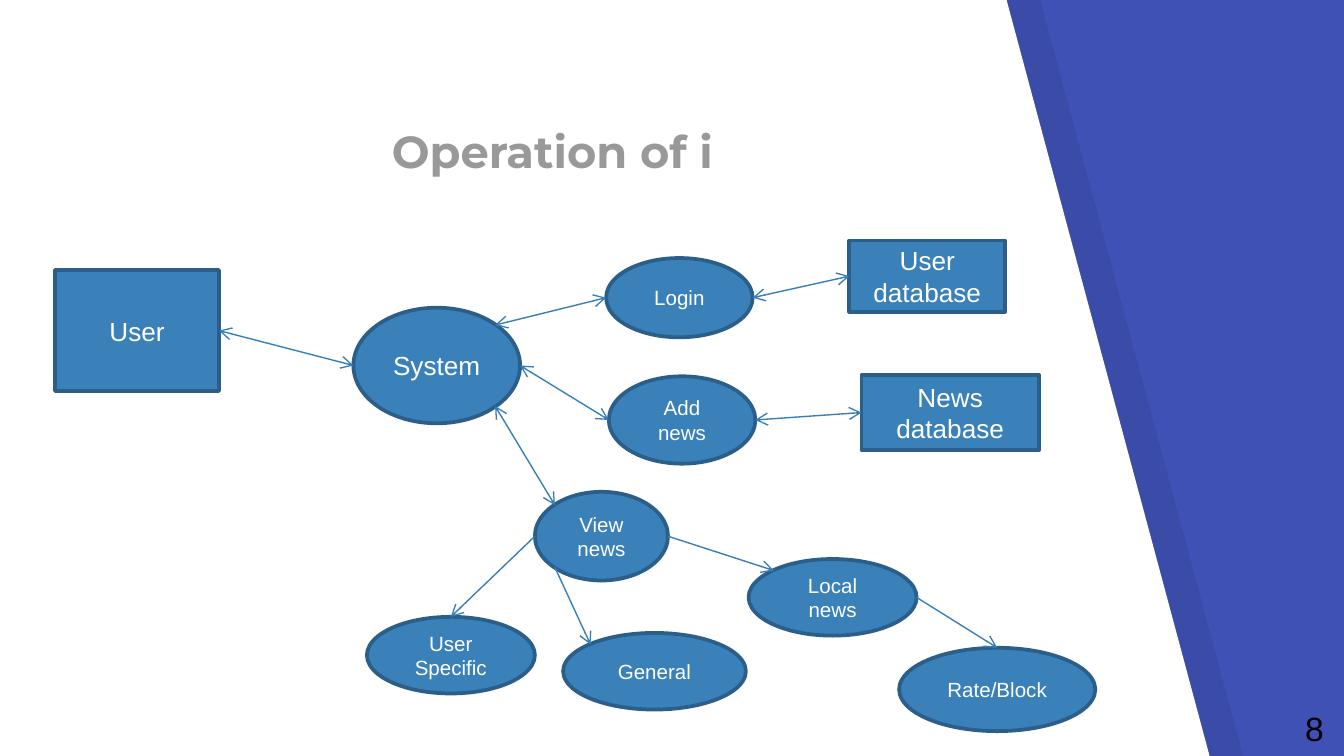
from lxml import etree
from pptx import Presentation
from pptx import util as u
from pptx.dml.color import RGBColor
from pptx.enum import shapes, text
from pptx.oxml.ns import qn

INDIGO = RGBColor(0x3F, 0x51, 0xB5)
BLACK = RGBColor(0, 0, 0)
WHITE = RGBColor(0xFF, 0xFF, 0xFF)
GREY = RGBColor(0x99, 0x99, 0x99)
NODE_FILL = RGBColor(0x3A, 0x81, 0xBA)
NODE_LINE = RGBColor(0x2B, 0x5F, 0x8A)
ARROW_LINE = RGBColor(0x36, 0x7E, 0xB9)

SLIDE_WIDTH = 10
SLIDE_HEIGHT = SLIDE_WIDTH * 9 / 16
RECT = shapes.MSO_SHAPE.RECTANGLE
OVAL = shapes.MSO_SHAPE.OVAL

# Text, shape, font size and box relative to the diagram's top left corner
NODES = {
    "user": ("User", RECT, 14, (0, 0.22, 1.22, 0.9)),
    "system": ("System", OVAL, 14, (2.22, 0.5, 1.24, 0.86)),
    "login": ("Login", OVAL, 11, (4.1, 0.13, 1.09, 0.59)),
    "add": ("Add news", OVAL, 11, (4.12, 1.01, 1.09, 0.65)),
    "view": ("View news", OVAL, 11, (3.57, 1.87, 0.99, 0.66)),
    "user_db": ("User database", RECT, 14, (5.91, 0, 1.16, 0.53)),
    "news_db": ("News database", RECT, 14, (6, 1, 1.32, 0.56)),
    "specific": ("User Specific", OVAL, 11, (2.32, 2.8, 1.25, 0.57)),
    "local": ("Local news", OVAL, 11, (5.16, 2.37, 1.25, 0.57)),
    "general": ("General", OVAL, 11, (3.78, 2.92, 1.36, 0.57)),
    "rate": ("Rate/Block", OVAL, 11, (6.28, 3.03, 1.46, 0.62)),
}

# Connection sites as fractions of a node's box; corners lie on the ellipse
SITES = {
    "left": (0, 0.5), "right": (1, 0.5), "top": (0.5, 0),
    "top left": (0.15, 0.15), "top right": (0.85, 0.15),
    "bottom left": (0.15, 0.85), "bottom right": (0.85, 0.85),
}

# Start node and site, end node and site, whether both ends have heads
LINKS = [
    ("view", "left", "specific", "top", False),
    ("view", "bottom left", "general", "top left", False),
    ("view", "right", "local", "top left", False),
    ("local", "right", "rate", "top", False),
    ("login", "right", "user_db", "left", True),
    ("add", "right", "news_db", "left", True),
    ("user", "right", "system", "left", True),
    ("system", "bottom right", "view", "top left", True),
    ("system", "top right", "login", "left", True),
    ("system", "right", "add", "left", True),
]


def set_attributes(target, values):
    for name, value in values.items():
        setattr(target, name, value)


def write_text(shape, content, size, color, frame_format, font="Arial", bold=False):
    set_attributes(shape.text_frame, frame_format)
    paragraph = shape.text_frame.paragraphs[0]
    paragraph.alignment = text.PP_ALIGN.CENTER
    run = paragraph.add_run()
    run.text = content
    set_attributes(run.font, {"name": font, "size": u.Pt(size), "bold": bold})
    run.font.color.rgb = color


def add_slanted_panel(slide, box, slant, color, opacity=100):
    """Draw a panel whose right edge leans outwards by slant at its foot."""
    left, top, width, height = box
    corners = [(left, top), (left, top + height),
               (left + width, top + height), (left + width - slant, top)]
    points = [(u.Inches(x), u.Inches(y)) for x, y in corners]
    builder = slide.shapes.build_freeform(*points[0])
    builder.add_line_segments(points[1:], close=True)
    panel = builder.convert_to_shape()
    panel.shadow.inherit = False
    panel.line.fill.background()
    panel.fill.solid()
    panel.fill.fore_color.rgb = color
    if opacity < 100:
        color_element = panel.fill._xPr.find(qn("a:solidFill"))[0]
        etree.SubElement(color_element, qn("a:alpha"), val=str(opacity * 1000))


def add_backdrop(slide, box):
    slide.background.fill.solid()
    slide.background.fill.fore_color.rgb = INDIGO
    left, top, width, height = box
    add_slanted_panel(slide, (left + 0.25, top, width, height), 1.51, BLACK, 7)
    add_slanted_panel(slide, box, 1.51, WHITE)


def add_title(slide, box, content):
    title = slide.shapes.add_textbox(*map(u.Inches, box))
    margin = u.Inches(0.1)
    frame_format = {"word_wrap": True, "vertical_anchor": text.MSO_ANCHOR.BOTTOM,
                    "margin_top": margin, "margin_bottom": margin}
    write_text(title, content, 24, GREY, frame_format, "Montserrat", True)


def add_page_number(slide, box, number):
    label = slide.shapes.add_textbox(*map(u.Inches, box))
    write_text(label, number, 18, BLACK, {"word_wrap": False})


def add_node(slide, kind, box, content, size):
    node = slide.shapes.add_shape(kind, *map(u.Inches, box))
    node.shadow.inherit = False
    node.fill.solid()
    node.fill.fore_color.rgb = NODE_FILL
    node.line.color.rgb = NODE_LINE
    node.line.width = u.Pt(2)
    frame_format = {"word_wrap": True, "vertical_anchor": text.MSO_ANCHOR.MIDDLE}
    write_text(node, content, size, WHITE, frame_format)
    return node


def site_position(node, site):
    across, down = SITES[site]
    return (u.Emu(int(node.left + across * node.width)),
            u.Emu(int(node.top + down * node.height)))


def add_arrow(slide, start, end, two_way):
    arrow = slide.shapes.add_connector(shapes.MSO_CONNECTOR.STRAIGHT, *start, *end)
    arrow.line.color.rgb = ARROW_LINE
    arrow.line.width = u.Pt(0.75)
    line = arrow.line._get_or_add_ln()
    for end_name in ("headEnd", "tailEnd") if two_way else ("tailEnd",):
        etree.SubElement(line, qn(f"a:{end_name}"), type="arrow")
    etree.SubElement(arrow._element.spPr, qn("a:effectLst"))


def add_diagram(slide, left, top):
    nodes = {}
    for name, (content, kind, size, (x, y, width, height)) in NODES.items():
        box = (left + x, top + y, width, height)
        nodes[name] = add_node(slide, kind, box, content, size)
    for source, source_site, target, target_site, two_way in LINKS:
        add_arrow(slide, site_position(nodes[source], source_site),
                  site_position(nodes[target], target_site), two_way)


def main():
    presentation = Presentation()
    presentation.slide_width = u.Inches(SLIDE_WIDTH)
    presentation.slide_height = u.Inches(SLIDE_HEIGHT)
    slide = presentation.slides.add_slide(presentation.slide_layouts[6])
    add_backdrop(slide, (0, 0, 9, SLIDE_HEIGHT))
    add_title(slide, (1.2, 0.89, 5.82, 0.53), "Operation of i")
    add_page_number(slide, (9.61, 5.22, 0.34, 0.4), "8")
    add_diagram(slide, 0.41, 1.79)
    presentation.save("out.pptx")


if __name__ == "__main__":
    main()
